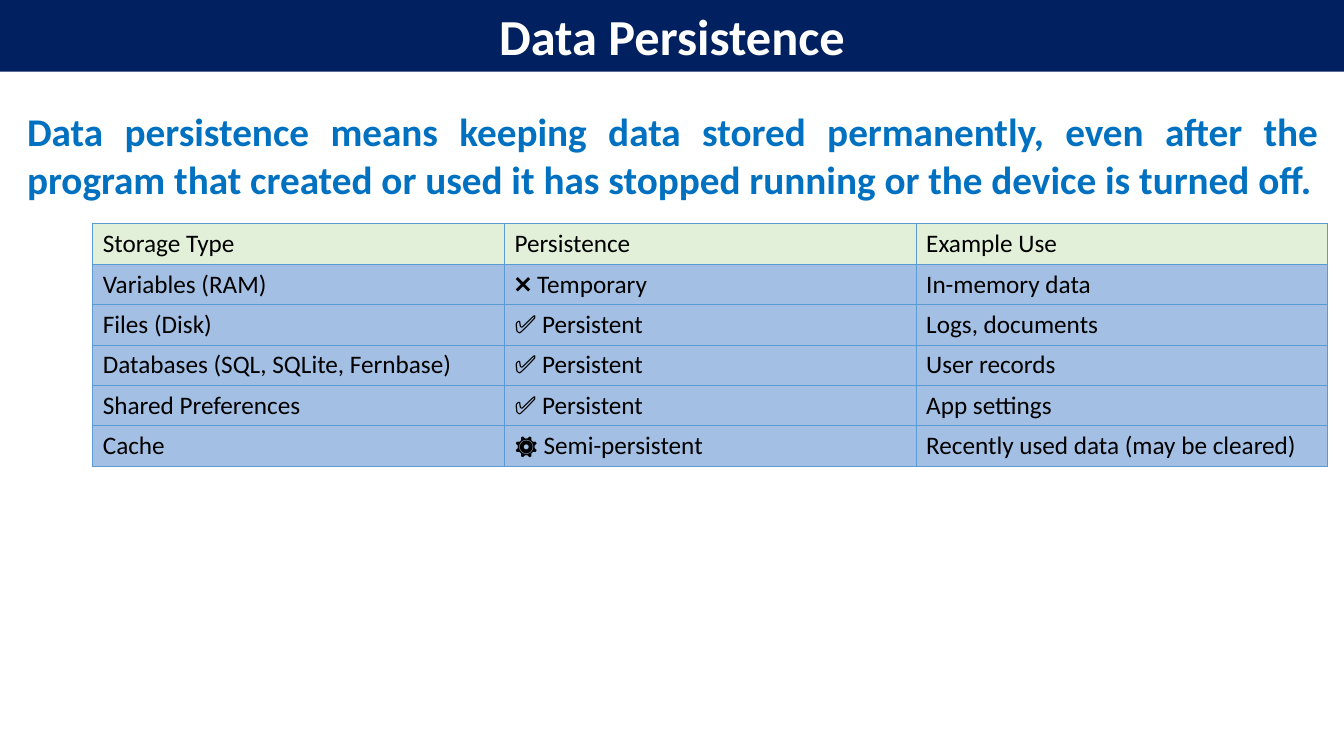
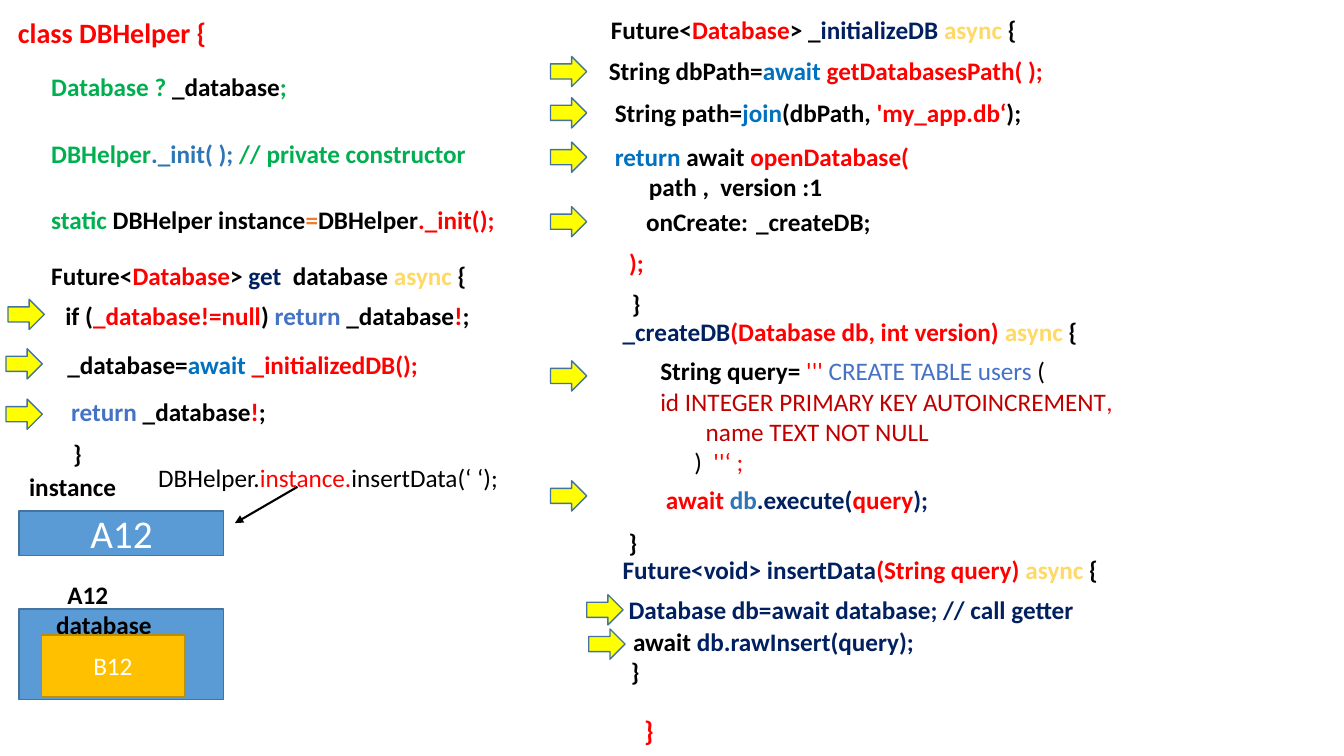
from dataclasses import dataclass

from lxml.etree import SubElement
from pptx import Presentation
from pptx.dml.color import RGBColor
from pptx.enum.shapes import MSO_CONNECTOR, MSO_SHAPE
from pptx.enum.text import MSO_ANCHOR, MSO_AUTO_SIZE, PP_ALIGN
from pptx.oxml.ns import qn
from pptx.util import Inches, Pt


@dataclass(frozen=True)
class Theme:
    font: str = "Calibri"
    black: str = "000000"
    white: str = "FFFFFF"
    navy: str = "002060"
    blue: str = "0070C0"
    steel: str = "2E75B6"
    indigo: str = "4472C4"
    sky: str = "5B9BD5"
    outline: str = "43739E"
    red: str = "FF0000"
    crimson: str = "C00000"
    green: str = "00B050"
    orange: str = "ED7D31"
    cream: str = "FFD966"
    yellow: str = "FFFF00"
    amber: str = "FFC000"
    amber_outline: str = "BD8E00"
    header: str = "E2F0D9"
    body: str = "A3C0E4"
    title_size: int = 36
    lead_size: int = 28
    class_size: int = 20
    text_size: int = 18


T = Theme()

TITLE = "Data Persistence"
DEFINITION = (
    "Data persistence means keeping data stored permanently, even after the program "
    "that created or used it has stopped running or the device is turned off."
)
STORAGE = [
    ("Storage Type", "Persistence", "Example Use"),
    ("Variables (RAM)", "❌ Temporary", "In-memory data"),
    ("Files (Disk)", "✅ Persistent", "Logs, documents"),
    ("Databases (SQL, SQLite, Fernbase)", "✅ Persistent", "User records"),
    ("Shared Preferences", "✅ Persistent", "App settings"),
    ("Cache", "⚙️ Semi-persistent", "Recently used data (may be cleared)"),
]

ASYNC = [("async", T.cream), (" {", T.black)]

CLASS_BRACES = [
    (0.08, 0.1, 3.2, [[("class DBHelper {", T.red)]]),
    (6.29, 7.03, 0.45, [[("}", T.red)]]),
]
WRAPPED_CODE = [
    (0.41, 0.66, 2.87, [[("Database ? ", T.green), ("_database", T.black), (";", T.green)]]),
    (0.41, 1.32, 4.93, [[("DBHelper", T.green), ("._init( ); ", T.steel),
                         ("// private constructor", T.green)]]),
    (0.41, 1.98, 4.93, [[("static ", T.green), ("DBHelper instance", T.black),
                         ("=", T.orange), ("DBHelper", T.black), ("._init();", T.red)]]),
    (0.19, 4.63, 1.09, [[("instance", T.black)]]),
    (0.57, 5.7, 1.09, [[("A12", T.black)]]),
    (0.46, 6, 1.36, [[("database", T.black)]]),
    (6.17, 2.81, 0.24, [[("}", T.black)]]),
]
ONE_LINE_CODE = [
    (0.41, 2.53, 4.33, [[("Future<", T.black), ("Database", T.red), ("> ", T.black),
                         ("get", T.navy), ("  database ", T.black), *ASYNC]]),
    (0.55, 2.93, 4.3, [[("if (", T.black), ("_database!=null", T.red), (")", T.black),
                        (" return ", T.indigo), ("_database", T.black),
                        ("!", T.red), (";", T.black)]]),
    (0.57, 3.42, 3.71, [[("_database=", T.black), ("await ", T.blue),
                         ("_initializedDB();", T.red)]]),
    (0.55, 3.88, 2.21, [[(" return ", T.indigo), ("_database", T.black),
                         ("!", T.red), (";", T.black)]]),
    (0.57, 4.3, 0.35, [[(" }", T.black)]]),
    (5.96, 0.09, 4.24, [[("Future<", T.black), ("Database", T.red), ("> _", T.black),
                         ("initializeDB ", T.navy), *ASYNC]]),
    (5.94, 0.5, 4.55, [[("String dbPath=", T.black), ("await ", T.blue),
                        ("getDatabasesPath( );", T.red)]]),
    (6, 0.92, 4.27, [[("String path=", T.black), ("join", T.blue), ("(dbPath, ", T.black),
                      ("'my_app.db‘", T.red), (");", T.black)]]),
    (6, 1.35, 3.26, [[("return", T.blue), (" await ", T.black), ("openDatabase(", T.red)],
                     [("      path ,  version :1", T.black)]]),
    (6.31, 2, 1.22, [[("onCreate:", T.black)]]),
    (7.4, 2, 1.35, [[("_createDB;", T.black)]]),
    (6.14, 2.4, 0.35, [[(");", T.red)]]),
    (6.02, 3.09, 4.81, [[(" _createDB", T.navy), ("(Database db, int version) ", T.red),
                         *ASYNC]]),
    (6.45, 4.76, 2.88, [[(" await ", T.red), ("db", T.steel), (".execute(", T.navy),
                         ("query", T.red), (");", T.navy)]]),
    (6.08, 5.18, 0.35, [[(" }", T.black)]]),
    (6.02, 5.45, 5.01, [[(" Future<void> insertData", T.navy), ("(String query) ", T.red),
                         *ASYNC]]),
    (6.08, 5.85, 4.72, [[(" Database db=await database; // call getter", T.navy)]]),
    (6.18, 6.16, 3.01, [[("await ", T.black), ("db.rawInsert(query);", T.navy)]]),
    (6.16, 6.46, 0.29, [[("}", T.black)]]),
]
CREATE_QUERY = (6.45, 3.48, 6.38, [
    [("String query= ", T.black, True), ("''' ", T.red),
     ("CREATE TABLE users ", T.indigo), ("(", T.black)],
    [("id INTEGER PRIMARY KEY AUTOINCREMENT", T.crimson), (",", T.red)],
    [("        name TEXT NOT NULL", T.crimson)],
    [("      )  ", T.black), ("''‘ ;", T.red)],
])
INSERT_CALL = (1.47, 4.54, 3.61, [
    [("DBHelper.", T.black), ("instance.", T.red), ("insertData(‘ ‘);", T.black)],
])
STEP_ARROWS = {
    0.06: [3.46, 3.96],
    0.08: [2.97],
    5.46: [0.56, 0.97, 1.41, 2.05, 3.58, 4.77],
    5.82: [5.9],
    5.84: [6.24],
}


def add_run(paragraph, text, color, size, bold=False):
    run = paragraph.add_run()
    run.text = text
    font = run.font
    font.name, font.size, font.bold = T.font, Pt(size), bold
    font.color.rgb = RGBColor.from_string(color)


def paint(target, color):
    target.fill.solid()
    target.fill.fore_color.rgb = RGBColor.from_string(color)


def add_text(slide, left, top, width, lines, size=T.text_size, bold=True, wrap=True,
             align=PP_ALIGN.LEFT, rows=None):
    height = 0.1 + (rows or len(lines)) * size * 1.22 / 72
    box = slide.shapes.add_textbox(Inches(left), Inches(top), Inches(width), Inches(height))
    frame = box.text_frame
    frame.word_wrap = wrap
    frame.auto_size = MSO_AUTO_SIZE.SHAPE_TO_FIT_TEXT
    for index, runs in enumerate(lines):
        paragraph = frame.add_paragraph() if index else frame.paragraphs[0]
        paragraph.alignment = align
        for text, color, *weight in runs:
            add_run(paragraph, text, color, size, weight[0] if weight else bold)


def add_block(slide, preset, left, top, width, height, fill, line, label="", size=T.text_size):
    block = slide.shapes.add_shape(
        preset, Inches(left), Inches(top), Inches(width), Inches(height))
    block.shadow.inherit = False
    paint(block, fill)
    block.line.color.rgb = RGBColor.from_string(line)
    block.line.width = Pt(1)
    if label:
        frame = block.text_frame
        frame.vertical_anchor = MSO_ANCHOR.MIDDLE
        frame.paragraphs[0].alignment = PP_ALIGN.CENTER
        add_run(frame.paragraphs[0], label, T.white, size)


def add_title(slide, text):
    title = slide.shapes.title
    title.left, title.top = Inches(0), Inches(0)
    title.width, title.height = Inches(13.33), Inches(0.71)
    paint(title, T.navy)
    frame = title.text_frame
    frame.auto_size = MSO_AUTO_SIZE.NONE
    frame.vertical_anchor = MSO_ANCHOR.MIDDLE
    frame.paragraphs[0].alignment = PP_ALIGN.CENTER
    add_run(frame.paragraphs[0], text, T.white, T.title_size, True)


def set_borders(cell, color, width):
    properties = cell._tc.get_or_add_tcPr()
    for position, side in enumerate(("lnL", "lnR", "lnT", "lnB")):
        border = properties.makeelement(qn(f"a:{side}"), {"w": str(Pt(width))})
        fill = SubElement(border, qn("a:solidFill"))
        SubElement(fill, qn("a:srgbClr"), val=color)
        properties.insert(position, border)


def add_storage_table(slide):
    table = slide.shapes.add_table(
        len(STORAGE), len(STORAGE[0]),
        Inches(0.92), Inches(2.22), Inches(12.25), Inches(0.4 * len(STORAGE))).table
    for row, values in enumerate(STORAGE):
        for column, value in enumerate(values):
            cell = table.cell(row, column)
            cell.vertical_anchor = MSO_ANCHOR.MIDDLE
            paint(cell, T.body if row else T.header)
            set_borders(cell, T.sky, 0.5)
            add_run(cell.text_frame.paragraphs[0], value, T.black, T.text_size)


def add_pointer(slide, start, end):
    pointer = slide.shapes.add_connector(
        MSO_CONNECTOR.STRAIGHT, *(Inches(value) for value in start + end))
    pointer.line.color.rgb = RGBColor.from_string(T.black)
    pointer.line.width = Pt(1.5)
    SubElement(pointer.line._get_or_add_ln(), qn("a:tailEnd"), type="triangle")
    SubElement(pointer._element.spPr, qn("a:effectLst"))


def build_persistence(deck):
    slide = deck.slides.add_slide(deck.slide_layouts[5])
    add_title(slide, TITLE)
    add_text(slide, 0.17, 1.02, 13, [[(DEFINITION, T.blue)]], T.lead_size,
             align=PP_ALIGN.JUSTIFY, rows=2)
    add_storage_table(slide)


def build_helper_class(deck):
    slide = deck.slides.add_slide(deck.slide_layouts[6])
    add_block(slide, MSO_SHAPE.RECTANGLE, 0.19, 5.07, 2.03, 0.44, T.sky, T.outline,
              "A12", T.lead_size)
    add_block(slide, MSO_SHAPE.RECTANGLE, 0.19, 6.04, 2.03, 0.9, T.sky, T.outline)
    for brace in CLASS_BRACES:
        add_text(slide, *brace, size=T.class_size)
    for code in WRAPPED_CODE:
        add_text(slide, *code)
    for code in ONE_LINE_CODE:
        add_text(slide, *code, wrap=False)
    add_text(slide, *CREATE_QUERY, bold=False)
    add_text(slide, *INSERT_CALL, bold=False, wrap=False)
    add_pointer(slide, (2.95, 4.83), (2.33, 5.19))
    for left, tops in STEP_ARROWS.items():
        for top in tops:
            add_block(slide, MSO_SHAPE.RIGHT_ARROW, left, top, 0.36, 0.3, T.yellow, T.outline)
    add_block(slide, MSO_SHAPE.RECTANGLE, 0.41, 6.3, 1.42, 0.61, T.amber, T.amber_outline, "B12")


def main():
    deck = Presentation()
    deck.slide_width, deck.slide_height = Inches(13.33), Inches(7.5)
    build_persistence(deck)
    build_helper_class(deck)
    deck.save("out.pptx")


if __name__ == "__main__":
    main()
